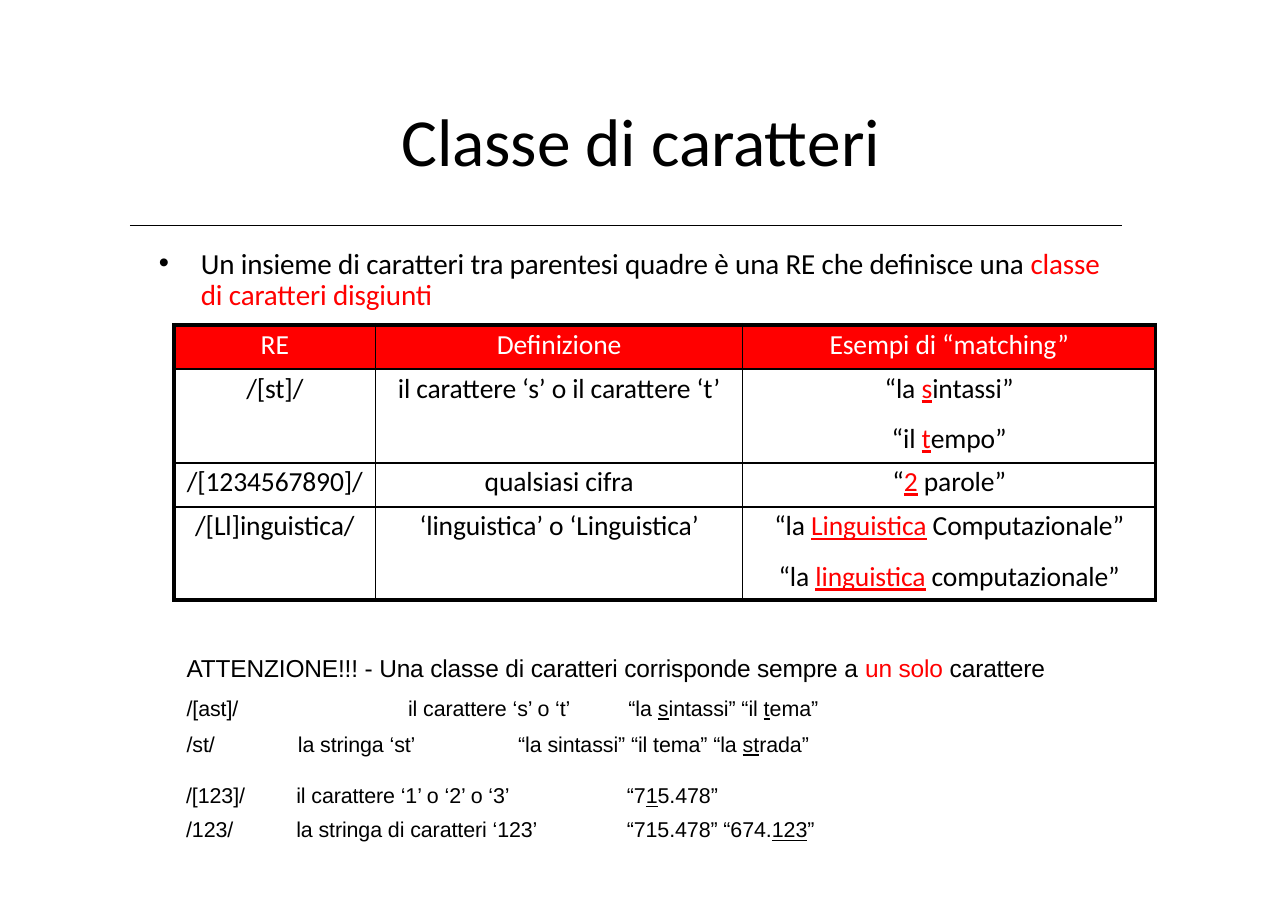
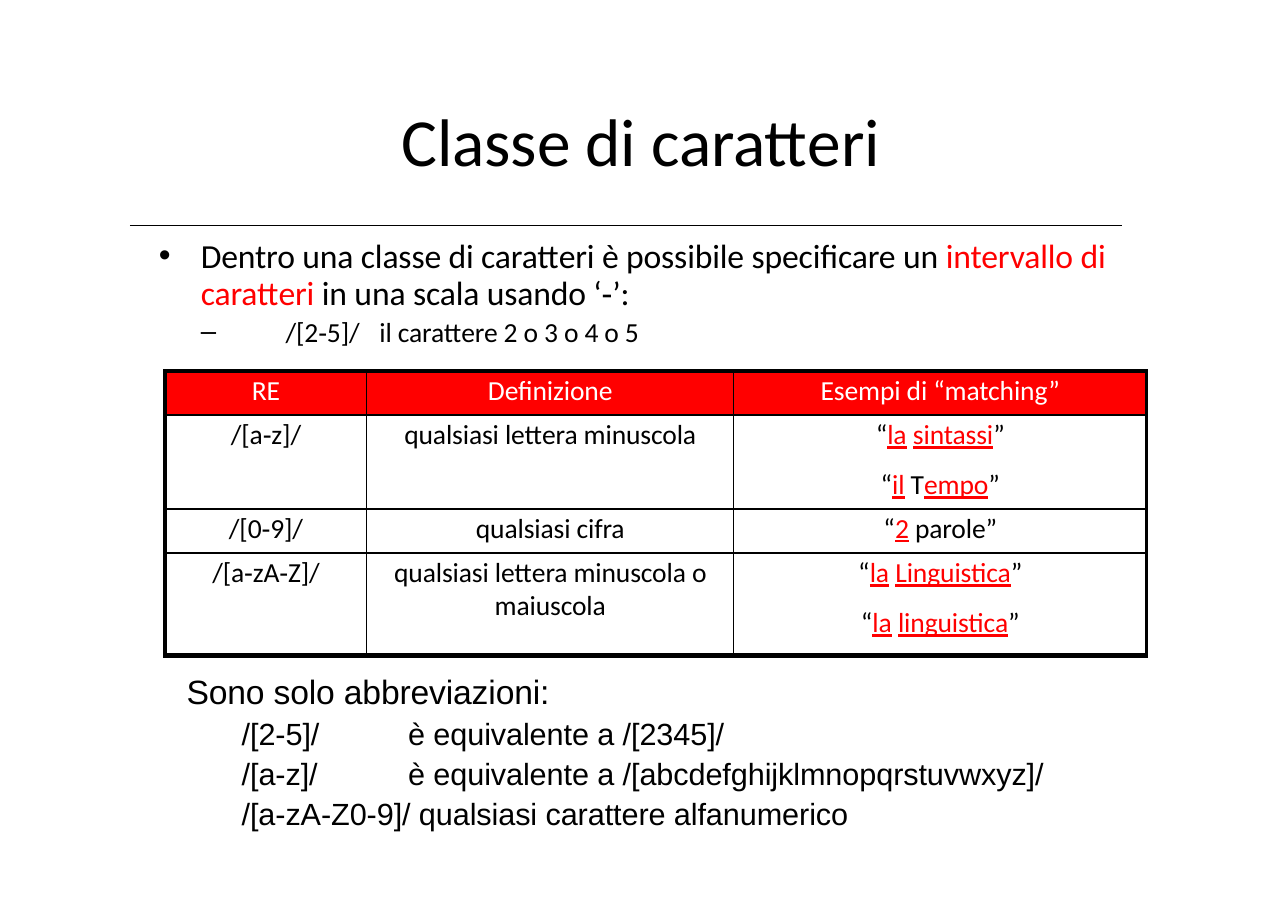
from dataclasses import dataclass

from lxml import etree
from pptx import Presentation
from pptx import util as u
from pptx.dml.color import RGBColor
from pptx.enum import shapes, text
from pptx.oxml import ns


@dataclass(frozen=True)
class Theme:
    ink: str = "000000"
    accent: str = "FF0000"
    paper: str = "FFFFFF"
    head: str = "Calibri"
    body: str = "Arial"
    title: int = 44
    large: int = 22
    formula: int = 20
    lead: int = 19
    cell: int = 18
    note: int = 16
    small: int = 14
    tracking: int = -8


@dataclass(frozen=True)
class Para:
    markup: str
    size: float
    before: float = 0
    line: float = 0
    bullet: str = ""
    left: float = 0
    hang: float = 0
    tabs: tuple = ()


def add_xml(parent, tag, **attrs):
    return etree.SubElement(parent, ns.qn(tag), {k: str(v) for k, v in attrs.items()})


class Deck:
    def __init__(self, theme):
        self.theme = theme
        self.prs = Presentation()
        self.prs.slide_width = u.Inches(11.69)
        self.prs.slide_height = u.Inches(8.27)
        self.s = None

    def x(self, share):
        return round(self.prs.slide_width * share / 100)

    def y(self, share):
        return round(self.prs.slide_height * share / 100)

    def slide(self, title):
        self.s = self.prs.slides.add_slide(self.prs.slide_layouts[6])
        self.rule(10.09, 24.79, 77)
        self.text(31.05, 10.76, 40, 9.19, [Para(title, self.theme.title)], self.theme.head)

    def rule(self, x, y, w):
        sp = self.s.shapes.add_connector(
            shapes.MSO_CONNECTOR.STRAIGHT, self.x(x), self.y(y), self.x(x + w), self.y(y))
        sp.line.color.rgb = RGBColor.from_string(self.theme.ink)
        sp.line.width = u.Pt(0.5)
        add_xml(sp._element.spPr, "a:effectLst")

    def paragraph(self, p, para, font, color):
        pPr = p._p.get_or_add_pPr()
        if para.left:
            pPr.set("marL", str(u.Inches(para.left)))
            pPr.set("indent", str(u.Inches(-para.hang)))
        if para.bullet:
            add_xml(pPr, "a:buFont", typeface=self.theme.body)
            add_xml(pPr, "a:buChar", char=para.bullet)
        if para.tabs:
            tabs = add_xml(pPr, "a:tabLst")
            for pos in para.tabs:
                add_xml(tabs, "a:tab", pos=u.Inches(pos), algn="l")
        p.space_before = u.Pt(para.before)
        if para.line:
            p.line_spacing = u.Pt(para.line)
        for i, tone in enumerate(para.markup.split("^")):
            for j, piece in enumerate(tone.split("_")):
                if piece:
                    r = p.add_run()
                    r.text = piece
                    r.font.name = font
                    r.font.size = u.Pt(para.size)
                    r.font.underline = j % 2 == 1
                    r.font.color.rgb = RGBColor.from_string(self.theme.accent if i % 2 else color)
                    r._r.get_or_add_rPr().set("spc", str(self.theme.tracking))

    def fill_frame(self, tf, paras, font, color, align=text.PP_ALIGN.LEFT):
        for i, para in enumerate(paras):
            p = tf.add_paragraph() if i else tf.paragraphs[0]
            self.paragraph(p, para, font, color)
            p.alignment = align

    def text(self, x, y, w, h, paras, font, top=0.7):
        sp = self.s.shapes.add_textbox(self.x(x), self.y(y), self.x(w), self.y(h))
        tf = sp.text_frame
        tf.word_wrap = True
        tf.margin_left, tf.margin_top = u.Pt(1), u.Pt(top)
        tf.margin_right = tf.margin_bottom = 0
        self.fill_frame(tf, paras, font, self.theme.ink)

    def grid(self, x, y, cols, rows):
        frame = self.s.shapes.add_table(
            len(rows), len(cols), self.x(x), self.y(y), self.x(sum(cols)), self.y(sum(rows)))
        table = frame.table
        table.first_row = table.horz_banding = False
        for col, w in zip(table.columns, cols):
            col.width = self.x(w)
        for row, h in zip(table.rows, rows):
            row.height = self.y(h)
        for cell in table.iter_cells():
            cell.margin_left = cell.margin_right = cell.margin_top = cell.margin_bottom = 0
        return table

    def borders(self, cell, **widths):
        tcPr = cell._tc.get_or_add_tcPr()
        for side, width in widths.items():
            ln = add_xml(tcPr, f"a:ln{side}", w=u.Pt(width))
            add_xml(add_xml(ln, "a:solidFill"), "a:srgbClr", val=self.theme.ink)

    def regex_table(self, x, y, last_row, body):
        t = self.theme
        data = [("RE", "Definizione", "Esempi di “matching”")] + body
        table = self.grid(x, y, (15.65, 28.49, 32.08), (4.84, 10.28, 4.84, last_row))
        for i, row in enumerate(data):
            for j, content in enumerate(row):
                cell = table.cell(i, j)
                cell.margin_top = u.Pt(2)
                self.borders(cell, L=1 if j else 3, R=2.25 if j == 2 else 1,
                             T=1.5 if i else 3, B=3 if i == 3 else 1.5)
                if i:
                    cell.fill.background()
                else:
                    cell.fill.solid()
                    cell.fill.fore_color.rgb = RGBColor.from_string(t.accent)
                paras = [Para(line, t.cell, 10.9 if k else 0)
                         for k, line in enumerate(content.split("\n"))]
                self.fill_frame(cell.text_frame, paras, t.head,
                                t.ink if i else t.paper, text.PP_ALIGN.CENTER)

    def plain_table(self, x, y, cols, row, data):
        table = self.grid(x, y, cols, [row] * len(data))
        for i, line in enumerate(data):
            for j, (content, left) in enumerate(zip(line, (0.03, 0.23, 0.4))):
                cell = table.cell(i, j)
                cell.margin_left = u.Inches(left)
                cell.margin_top = u.Pt(3 * i)
                cell.fill.background()
                self.fill_frame(cell.text_frame, [Para(content, self.theme.small)],
                                self.theme.body, self.theme.ink)


def character_class(d):
    t = d.theme
    d.slide("Classe di caratteri")
    d.text(12.23, 26.72, 74.51, 7.62, [
        Para("Un insieme di caratteri tra parentesi quadre è una RE che definisce una "
             "^classe di caratteri disgiunti^", t.lead, line=20.5, bullet="•", left=0.38, hang=0.38),
    ], t.head, top=3.6)
    d.regex_table(13.52, 35.67, 10.28, [
        ("/[st]/", "il carattere ‘s’ o il carattere ‘t’", "“la ^_s_^intassi”\n“il ^_t_^empo”"),
        ("/[1234567890]/", "qualsiasi cifra", "“^_2_^ parole”"),
        ("/[Ll]inguistica/", "‘linguistica’ o ‘Linguistica’",
         "“la ^_Linguistica_^ Computazionale”\n“la ^_linguistica_^ computazionale”"),
    ])
    d.text(14.37, 69.89, 68, 13.3, [
        Para("ATTENZIONE!!! - Una classe di caratteri corrisponde sempre a ^un solo^ carattere", t.note),
        Para("/[ast]/\til carattere ‘s’ o ‘t’\t“la _s_intassi” “il _t_ema”", t.small, 8.3,
             tabs=(2.01, 4.01)),
        Para("/st/\tla stringa ‘st’\t“la sintassi” “il tema” “la _st_rada”", t.small, 6.7,
             tabs=(1.01, 3.01)),
    ], t.body, top=10.8)
    d.plain_table(14.2, 86.09, (6.84, 24.21, 18.31), 3.26, [
        ("/[123]/", "il carattere ‘1’ o ‘2’ o ‘3’", "“7_1_5.478”"),
        ("/123/", "la stringa di caratteri ‘123’", "“715.478” “674._123_”"),
    ])


def character_range(d):
    t = d.theme
    d.slide("Classe di caratteri")
    d.text(12.23, 25.63, 74.76, 12.82, [
        Para("Dentro una classe di caratteri è possibile specificare un ^intervallo di caratteri^ "
             "in una scala usando ‘‐’:", t.large, line=23.8, bullet="•", left=0.38, hang=0.38),
        Para("/[2‐5]/\til carattere 2 o 3 o 4 o 5", t.cell, 1.9, bullet="–", left=1.15, hang=0.77,
             tabs=(1.24,)),
    ], t.head, top=3.6)
    d.regex_table(12.83, 40.75, 11.25, [
        ("/[a‐z]/", "qualsiasi lettera minuscola", "“^_la_ _sintassi_^”\n“^_il_^ T^_empo_^”"),
        ("/[0‐9]/", "qualsiasi cifra", "“^_2_^ parole”"),
        ("/[a‐zA‐Z]/", "qualsiasi lettera minuscola o maiuscola",
         "“^_la_ _Linguistica_^”\n“^_la_ _linguistica_^”"),
    ])
    d.text(14.37, 73.52, 30, 4.84, [Para("Sono solo abbreviazioni:", t.large)], t.body)
    for x, w, lines in (
        (18.65, 8, ("/[2-5]/", "/[a-z]/")),
        (31.57, 52, ("è equivalente a /[2345]/", "è equivalente a /[abcdefghijklmnopqrstuvwxyz]/")),
    ):
        d.text(x, 77.87, w, 9.19, [Para(line, t.formula, 2.4 * i + 2 * 0)
                                   for i, line in enumerate(lines)], t.body, top=3.6)
    d.text(18.65, 87.18, 50, 4.35,
           [Para("/[a-zA-Z0-9]/ qualsiasi carattere alfanumerico", t.formula)], t.body)


def main():
    d = Deck(Theme())
    character_class(d)
    character_range(d)
    d.prs.save("out.pptx")


if __name__ == "__main__":
    main()
